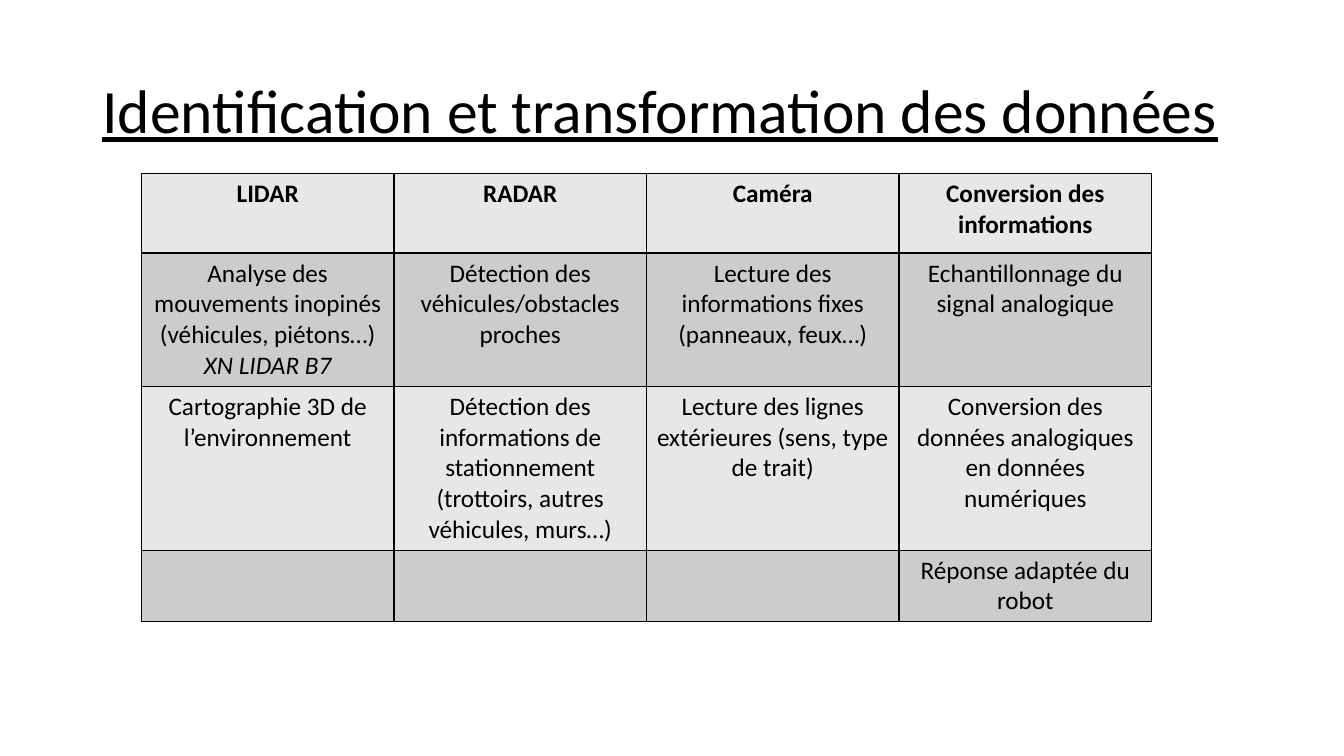
from lxml.etree import SubElement
from pptx import Presentation
from pptx.dml.color import RGBColor
from pptx.enum.text import MSO_ANCHOR, MSO_AUTO_SIZE, PP_ALIGN
from pptx.oxml.ns import qn
from pptx.util import Pt

BLACK = RGBColor(0x00, 0x00, 0x00)
LIGHT = RGBColor(0xE7, 0xE7, 0xE7)
GREY = RGBColor(0xCC, 0xCC, 0xCC)


def style(font, **more):
    for name, value in {"name": "Calibri", **more}.items():
        setattr(font, name, value)
    font.color.rgb = BLACK


def border(cell):
    props = cell._tc.get_or_add_tcPr()
    for spot, side in enumerate(("lnL", "lnR", "lnT", "lnB")):
        line = props.makeelement(qn(f"a:{side}"), {"w": str(Pt(1))})
        fill = SubElement(line, qn("a:solidFill"))
        SubElement(fill, qn("a:srgbClr"), val=str(BLACK))
        props.insert(spot, line)


deck = Presentation()
deck.slide_width, deck.slide_height = Pt(960), Pt(540)
slide = deck.slides.add_slide(deck.slide_layouts[5])

# Title
title = slide.shapes.title
place = {"left": Pt(66), "top": Pt(28.8), "width": Pt(828), "height": Pt(104.4)}
for name, value in place.items():
    setattr(title, name, value)
frame = title.text_frame
frame.text = "Identification et transformation des données"
frame.auto_size = MSO_AUTO_SIZE.NONE
frame.vertical_anchor = MSO_ANCHOR.MIDDLE
head = frame.paragraphs[0]
head.alignment = PP_ALIGN.LEFT
head.line_spacing = 0.9
style(head.runs[0].font, size=Pt(44), underline=True)

# Sensor table
MODEL = "XN LIDAR B7"
ROWS = [
    ["LIDAR", "RADAR", "Caméra", "Conversion des informations"],
    ["Analyse des mouvements inopinés (véhicules, piétons…)\n" + MODEL,
     "Détection des véhicules/obstacles proches",
     "Lecture des informations fixes (panneaux, feux…)",
     "Echantillonnage du signal analogique"],
    ["Cartographie 3D de l’environnement",
     "Détection des informations de stationnement "
     "(trottoirs, autres véhicules, murs…)",
     "Lecture des lignes extérieures (sens, type de trait)",
     "Conversion des données analogiques en données numériques"],
    ["", "", "", "Réponse adaptée du robot"],
]
HIGH = [57, 95, 117, 51]
WIDE = 180.4

table = slide.shapes.add_table(
    len(ROWS), len(ROWS[0]), Pt(101), Pt(123.8),
    Pt(WIDE * len(ROWS[0])), Pt(sum(HIGH))).table
for col in table.columns:
    col.width = Pt(WIDE)

for r, texts in enumerate(ROWS):
    table.rows[r].height = Pt(HIGH[r])
    for c, text in enumerate(texts):
        cell = table.cell(r, c)
        cell.fill.solid()
        cell.fill.fore_color.rgb = GREY if r % 2 else LIGHT
        border(cell)
        cell.text = text
        for para in cell.text_frame.paragraphs:
            para.alignment = PP_ALIGN.CENTER
            for run in para.runs:
                style(run.font, size=Pt(18), bold=r == 0,
                      italic=run.text == MODEL)

deck.save("out.pptx")
